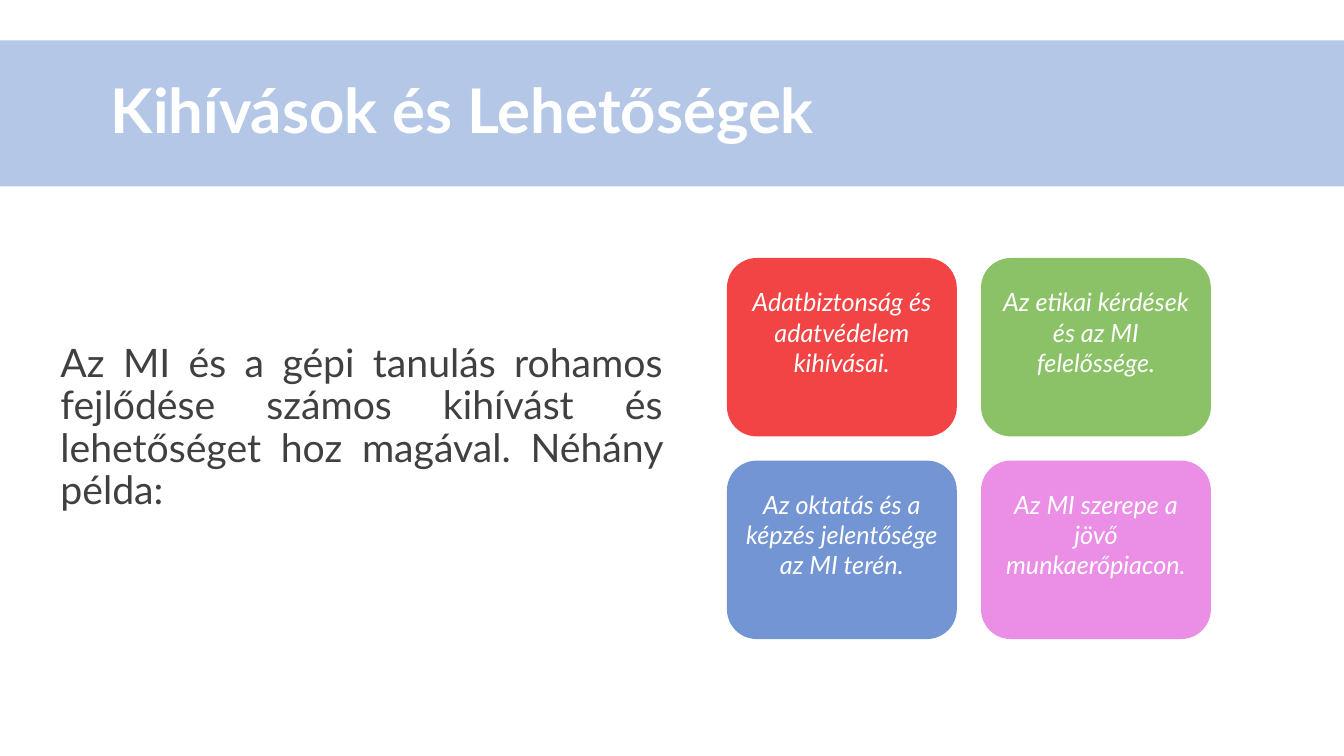
from pptx import Presentation
from pptx.dml.color import RGBColor
from pptx.enum import shapes, text
from pptx.util import Inches, Pt

TITLE = "Kihívások és Lehetőségek"
INTRO = ("Az MI és a gépi tanulás rohamos fejlődése számos kihívást és "
         "lehetőséget hoz magával. Néhány példa:")
CARDS = [
    ("Adatbiztonság és adatvédelem kihívásai.", "F24444"),
    ("Az etikai kérdések és az MI felelőssége.", "8BC167"),
    ("Az oktatás és a képzés jelentősége az MI terén.", "7395D3"),
    ("Az MI szerepe a jövő munkaerőpiacon.", "EA8EE6"),
]
LEFT, TOP = 7.21, 2.56
WIDE, HIGH = 2.28, 1.77
STEP_X, STEP_Y = 2.52, 2.01
KIND = shapes.MSO_SHAPE
ALIGN = text.PP_ALIGN


def color(code):
    return RGBColor.from_string(code)


def block(slide, kind, box, fill):
    """Add a filled shape with neither outline nor shadow."""
    shape = slide.shapes.add_shape(kind, *map(Inches, box))
    shape.shadow.inherit = False
    shape.fill.solid()
    shape.fill.fore_color.rgb = color(fill)
    shape.line.fill.background()
    return shape


def write(shape, words, size, code, frame, para, **font):
    body = shape.text_frame
    line = body.paragraphs[0]
    run = line.add_run()
    run.text = words
    run.font.color.rgb = color(code)
    base = {"word_wrap": True, "vertical_anchor": text.MSO_ANCHOR.MIDDLE}
    face = {"name": "Lato", "size": Pt(size)}
    for part, form in ((body, base | frame), (line, para), (run.font, face | font)):
        for key, value in form.items():
            setattr(part, key, value)


def main():
    deck = Presentation()
    deck.slide_width, deck.slide_height = Inches(13.33), Inches(7.5)
    slide = deck.slides.add_slide(deck.slide_layouts[6])

    band = block(slide, KIND.RECTANGLE, (0, 0.4, 13.33, 1.45), "B4C7E7")
    write(band, TITLE, 44, "FFFFFF", {"margin_left": Inches(1.1)},
          {"alignment": ALIGN.LEFT, "line_spacing": 0.9}, bold=True)

    intro = slide.shapes.add_textbox(*map(Inches, (0, 2.16, 6.67, 4.59)))
    write(intro, INTRO, 28, "404040",
          {"margin_left": Inches(0.6), "margin_bottom": Inches(0.46)},
          {"alignment": ALIGN.JUSTIFY, "line_spacing": 0.9, "space_before": Pt(5)})

    for i, (words, fill) in enumerate(CARDS):
        row, col = divmod(i, 2)
        box = LEFT + col * STEP_X, TOP + row * STEP_Y, WIDE, HIGH
        card = block(slide, KIND.ROUNDED_RECTANGLE, box, fill)
        write(card, words, 18, "FFFFFF", {"margin_bottom": Inches(0.35)},
              {"alignment": ALIGN.CENTER}, italic=True)

    deck.save("out.pptx")


if __name__ == "__main__":
    main()
